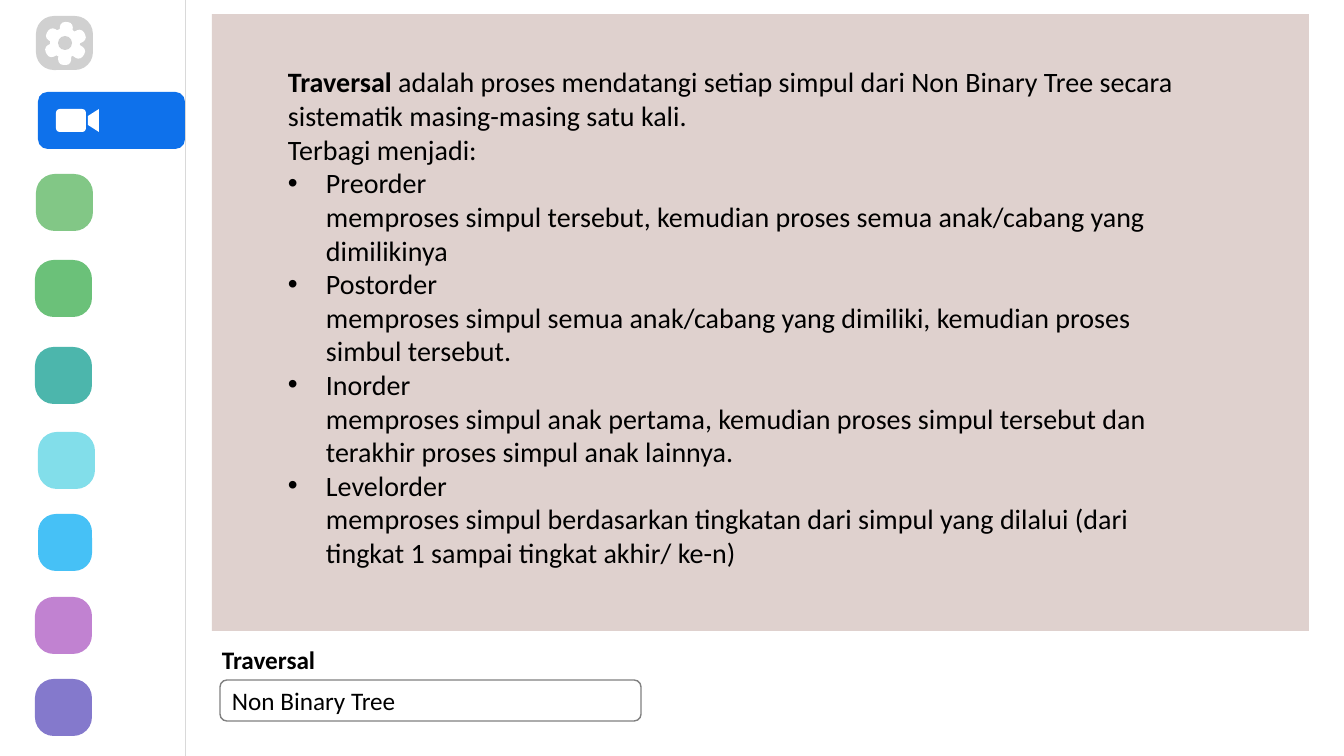
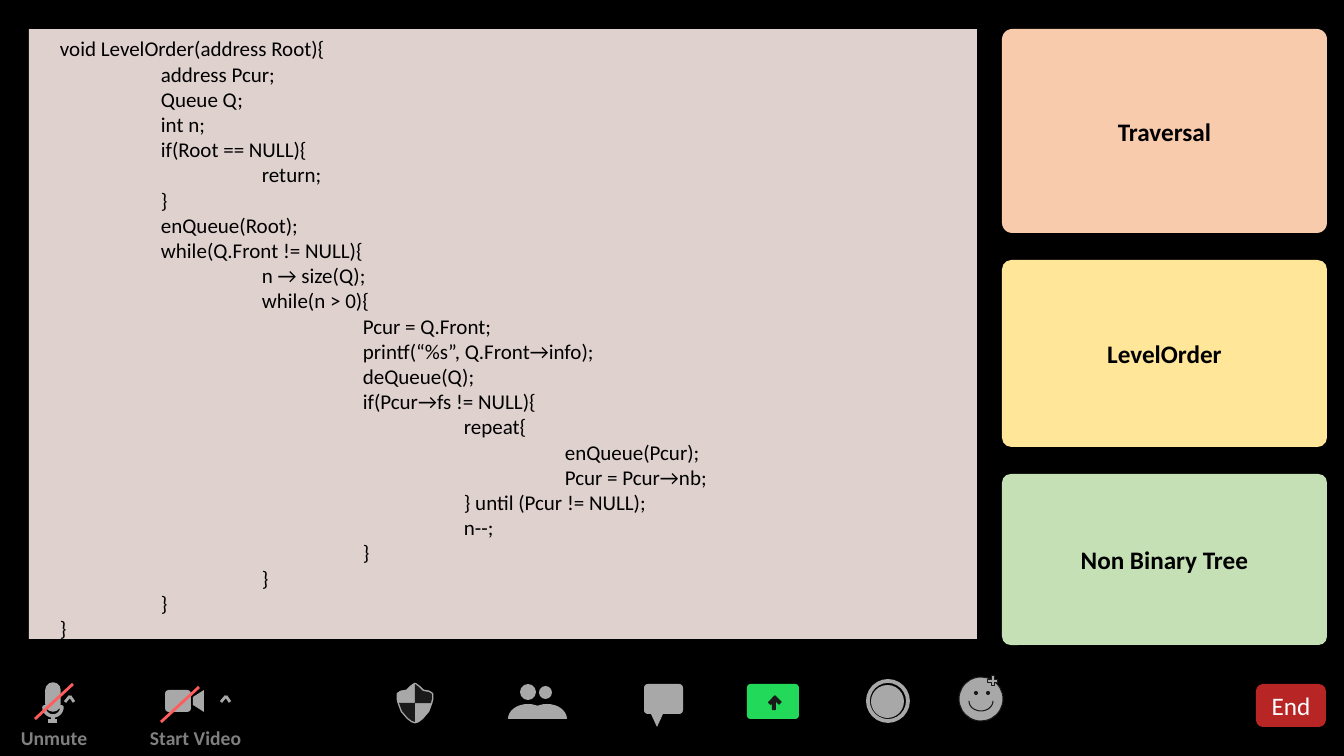
from math import cos, radians, sin

from lxml.etree import SubElement
from pptx import Presentation
from pptx.dml.color import RGBColor
from pptx.enum.shapes import MSO_CONNECTOR as LINE, MSO_SHAPE as SHAPE
from pptx.enum.text import MSO_ANCHOR as ANCHOR, PP_ALIGN as ALIGN
from pptx.oxml.ns import qn
from pptx.util import Emu, Pt

EMU_PER_PX = 914400 / 100.8
FONT = "Calibri"
WHITE = RGBColor(0xFF, 0xFF, 0xFF)
BLACK = RGBColor(0, 0, 0)
PANEL = RGBColor(0xDF, 0xD1, 0xCE)
TILE_GREY = RGBColor(0xD0, 0xD0, 0xD0)
DIVIDER = RGBColor(0xD9, 0xD9, 0xD9)
ACTIVE_BLUE = RGBColor(0x0E, 0x71, 0xEB)
MID_GREY = RGBColor(0x80, 0x80, 0x80)
ICON = RGBColor(0xA8, 0xA8, 0xA8)
INK = RGBColor(0x1A, 0x1A, 0x1A)
SLASH = RGBColor(0xFF, 0x5D, 0x5D)
SHARE_GREEN = RGBColor(0x23, 0xD9, 0x59)
END_RED = RGBColor(0xB7, 0x25, 0x25)
PEACH = RGBColor(0xF8, 0xCB, 0xAD)
YELLOW = RGBColor(0xFF, 0xE6, 0x99)
GREEN = RGBColor(0xC5, 0xE0, 0xB4)

SWATCHES = [
    (36, 174, 57, RGBColor(0x82, 0xC7, 0x86)),
    (35, 260, 57, RGBColor(0x6B, 0xC1, 0x79)),
    (35, 347, 57, RGBColor(0x4C, 0xB6, 0xAC)),
    (38, 432, 57, RGBColor(0x82, 0xDE, 0xEA)),
    (38, 514, 54, RGBColor(0x46, 0xC1, 0xF6)),
    (35, 597, 57, RGBColor(0xC1, 0x82, 0xD1)),
    (35, 679, 57, RGBColor(0x84, 0x79, 0xCC)),
]
ORDERS = [
    ("Preorder", "memproses simpul tersebut, kemudian proses semua anak/cabang yang dimilikinya"),
    ("Postorder", "memproses simpul semua anak/cabang yang dimiliki, kemudian proses simbul tersebut."),
    ("Inorder", "memproses simpul anak pertama, kemudian proses simpul tersebut dan terakhir proses simpul anak lainnya."),
    ("Levelorder", "memproses simpul berdasarkan tingkatan dari simpul yang dilalui (dari tingkat 1 sampai tingkat akhir/ ke-n)"),
]
CARDS = [("Traversal", 204, PEACH), ("LevelOrder", 187, YELLOW), ("Non Binary Tree", 171, GREEN)]
CODE = """void LevelOrder(address Root){
    address Pcur;
    Queue Q;
    int n;
    if(Root == NULL){
        return;
    }
    enQueue(Root);
    while(Q.Front != NULL){
        n → size(Q);
        while(n > 0){
            Pcur = Q.Front;
            printf(“%s”, Q.Front→info);
            deQueue(Q);
            if(Pcur→fs != NULL){
                repeat{
                    enQueue(Pcur);
                    Pcur = Pcur→nb;
                } until (Pcur != NULL);
                n--;
            }
        }
    }
}"""


def px(n):
    return Emu(round(n * EMU_PER_PX))


def paint(sp, fill, line, width):
    sp.shadow.inherit = False
    if fill is None:
        sp.fill.background()
    else:
        sp.fill.solid()
        sp.fill.fore_color.rgb = fill
    if line is None:
        sp.line.fill.background()
    else:
        sp.line.color.rgb = line
        sp.line.width = Pt(width)


def shape(s, kind, x, y, w, h, fill=None, line=None, width=1, adj=None, rot=0):
    sp = s.shapes.add_shape(kind, px(x), px(y), px(w), px(h))
    if adj is not None:
        sp.adjustments[0] = adj
    sp.rotation = rot
    paint(sp, fill, line, width)
    return sp


def rounded(s, *box, **style):
    return shape(s, SHAPE.ROUNDED_RECTANGLE, *box, **style)


def oval(s, *box, **style):
    return shape(s, SHAPE.OVAL, *box, **style)


def outline(s, points, fill=None, line=None, width=1, close=True):
    first, *rest = [(px(x), px(y)) for x, y in points]
    fb = s.shapes.build_freeform(*first)
    fb.add_line_segments(rest, close=close)
    paint(fb.convert_to_shape(), fill, line, width)


def arc(cx, cy, rx, ry, start, end, steps=16):
    angles = [radians(start + (end - start) * i / steps) for i in range(steps + 1)]
    return [(cx + rx * cos(a), cy + ry * sin(a)) for a in angles]


def line(s, x1, y1, x2, y2, color, width):
    c = s.shapes.add_connector(LINE.STRAIGHT, px(x1), px(y1), px(x2), px(y2))
    c.line.color.rgb = color
    c.line.width = Pt(width)
    SubElement(c._element.spPr, qn("a:effectLst"))


def style(p, size, color=BLACK, bold=False, align=ALIGN.LEFT):
    p.font.name = FONT
    p.font.size = Pt(size)
    p.font.color.rgb = color
    p.font.bold = bold
    p.alignment = align


def indent(p, left, first=0):
    pPr = p._p.get_or_add_pPr()
    pPr.set("marL", str(px(left)))
    pPr.set("indent", str(px(first)))
    return pPr


def bullet(p):
    pPr = indent(p, 38, -38)
    font = pPr.makeelement(qn("a:buFont"), {"typeface": "Arial"})
    char = pPr.makeelement(qn("a:buChar"), {"char": "•"})
    pPr.insert(0, font)
    pPr.insert(1, char)


def text_box(s, x, y, w, h):
    tf = s.shapes.add_textbox(px(x), px(y), px(w), px(h)).text_frame
    tf.word_wrap = True
    return tf


def next_paragraph(tf):
    p = tf.paragraphs[0]
    return tf.add_paragraph() if p.runs else p


def label(tf, text, size, **look):
    p = next_paragraph(tf)
    p.add_run().text = text
    style(p, size, **look)
    return p


def caption(sp, text, **look):
    sp.text_frame.word_wrap = True
    sp.text_frame.vertical_anchor = ANCHOR.MIDDLE
    label(sp.text_frame, text, 18, **look)


def camera(s, x, y, w, h, color):
    rounded(s, x, y, w, h, fill=color)
    near, far, notch = x + w + 2, x + w + 13, h // 3
    outline(s, [(near, y + h - notch), (near, y + notch), (far, y), (far, y + h)], fill=color)


def gear(s, cx, cy):
    for rot in (3, 63, 123):
        rounded(s, cx - 6, cy - 21, 13, 43, fill=WHITE, adj=0.4, rot=rot)
    oval(s, cx - 15, cy - 15, 30, 30, fill=WHITE)
    oval(s, cx - 7, cy - 7, 14, 14, fill=TILE_GREY)


def chevron(s, x, y):
    for end in (x - 5, x + 4):
        line(s, end, y + 6, x, y, ICON, 2)


def microphone(s):
    outline(s, arc(53, 707, 9, 9, 0, 180), line=ICON, width=2.5)
    rounded(s, 47, 684, 12, 26, fill=ICON, line=ICON, width=2.5, adj=0.5)
    line(s, 53, 716, 53, 721, ICON, 2.5)
    line(s, 48, 721, 57, 721, ICON, 2.5)


def shield(s):
    cx, cy = 415, 703
    left = [(cx, 684), (411, 687), (407, 691), (401, 692), (398, 694), (398, 699),
            (399, cy), (402, 711), (408, 718), (412, 721), (cx, 722)]
    right = [(2 * cx - x, y) for x, y in left]
    outline(s, left + right[::-1], fill=ICON, line=ICON, width=2)
    outline(s, [q for q in right if q[1] <= cy] + [(cx, cy)], fill=INK)
    outline(s, [q for q in left if q[1] >= cy] + [(cx, cy)], fill=INK)


def person(s, cx, head_x, head_y, head):
    oval(s, head_x, head_y, head, head, fill=ICON)
    outline(s, arc(cx, 719, 20, 15, 180, 360), fill=ICON)


def chat_bubble(s):
    left, top, right, bottom, r = 644, 684, 683, 714, 4
    corners = [(right - r, top + r, 270), (right - r, bottom - r, 0),
               (left + r, bottom - r, 90), (left + r, top + r, 180)]
    arcs = [arc(x, y, r, r, a, a + 90, 6) for x, y, a in corners]
    tail = [(663, bottom), (657, 727), (651, bottom)]
    outline(s, arcs[0] + arcs[1] + tail + arcs[2] + arcs[3], fill=ICON)


def share_button(s):
    rounded(s, 747, 684, 52, 35, fill=SHARE_GREEN, adj=0.1)
    for x, y, h, rot in ((770, 697, 8, 44), (775, 695, 10, 315), (772, 699, 11, 0)):
        rounded(s, x, y, 4, h, fill=INK, rot=rot)


def record_button(s):
    oval(s, 868, 681, 40, 40, line=ICON, width=2.75)
    oval(s, 871, 685, 33, 33, fill=ICON)


def smiley(s):
    oval(s, 959, 677, 44, 44, fill=ICON, line=INK, width=0)
    for x in (974, 986):
        oval(s, x, 691, 4, 4, fill=INK)
    outline(s, arc(981, 701, 12, 10, 180, 0), line=INK, width=0, close=False)
    shape(s, SHAPE.CROSS, 988, 676, 10, 10, fill=ICON, line=INK, width=0, adj=0.36)


def sidebar(s):
    rounded(s, 36, 16, 57, 54, fill=TILE_GREY, adj=0.33)
    gear(s, 65, 43)
    rounded(s, 38, 92, 147, 57, fill=ACTIVE_BLUE)
    camera(s, 56, 109, 30, 23, WHITE)
    for x, y, w, color in SWATCHES:
        rounded(s, x, y, w, 57, fill=color, adj=0.33)
    line(s, 185, 0, 185, 756, DIVIDER, 0.5)


def toolbar(s):
    microphone(s)
    camera(s, 165, 690, 26, 22, ICON)
    chevron(s, 70, 696)
    chevron(s, 226, 696)
    line(s, 35, 719, 73, 684, SLASH, 2)
    line(s, 161, 722, 199, 687, SLASH, 2)
    for text, x, w in (("Unmute", 11, 97), ("Start Video", 140, 146)):
        label(text_box(s, x, 721, w, 34), text, 14, color=MID_GREY, bold=True)
    shield(s)
    person(s, 528, 520, 684, 16)
    person(s, 547, 539, 686, 13)
    chat_bubble(s)
    share_button(s)
    record_button(s)
    smiley(s)
    end = rounded(s, 1256, 684, 70, 43, fill=END_RED)
    caption(end, "End", color=WHITE, align=ALIGN.CENTER)


def new_slide(prs, color, panel):
    s = prs.slides.add_slide(prs.slide_layouts[6])
    s.background.fill.solid()
    s.background.fill.fore_color.rgb = color
    shape(s, SHAPE.RECTANGLE, *panel, fill=PANEL)
    return s


def definition_slide(prs):
    s = new_slide(prs, WHITE, (212, 14, 1097, 617))
    sidebar(s)
    label(text_box(s, 212, 639, 272, 40), "Traversal", 18, bold=True)
    caption(rounded(s, 220, 680, 421, 41, fill=WHITE, line=MID_GREY), "Non Binary Tree")
    tf = text_box(s, 278, 60, 905, 559)
    p = label(tf, "Traversal ", 20)
    p.runs[0].font.bold = True
    p.add_run().text = ("adalah proses mendatangi setiap simpul dari Non Binary Tree secara "
                        "sistematik masing-masing satu kali.")
    label(tf, "Terbagi menjadi:", 20)
    for name, meaning in ORDERS:
        p = label(tf, name, 20)
        p.add_line_break()
        p.add_run().text = meaning
        bullet(p)


def code_slide(prs):
    s = new_slide(prs, BLACK, (29, 29, 948, 610))
    y, gap = 29, 27
    for text, h, color in CARDS:
        caption(rounded(s, 1002, y, 325, h, fill=color, adj=0.05), text, bold=True, align=ALIGN.CENTER)
        y += h + gap
    toolbar(s)
    tf = text_box(s, 50, 31, 842, 621)
    for row in CODE.splitlines():
        text = row.lstrip()
        depth = (len(row) - len(text)) // 4
        indent(label(tf, text, 15), depth * 101)


def main():
    prs = Presentation()
    prs.slide_width, prs.slide_height = px(1344), px(756)
    definition_slide(prs)
    code_slide(prs)
    prs.save("out.pptx")


if __name__ == "__main__":
    main()
